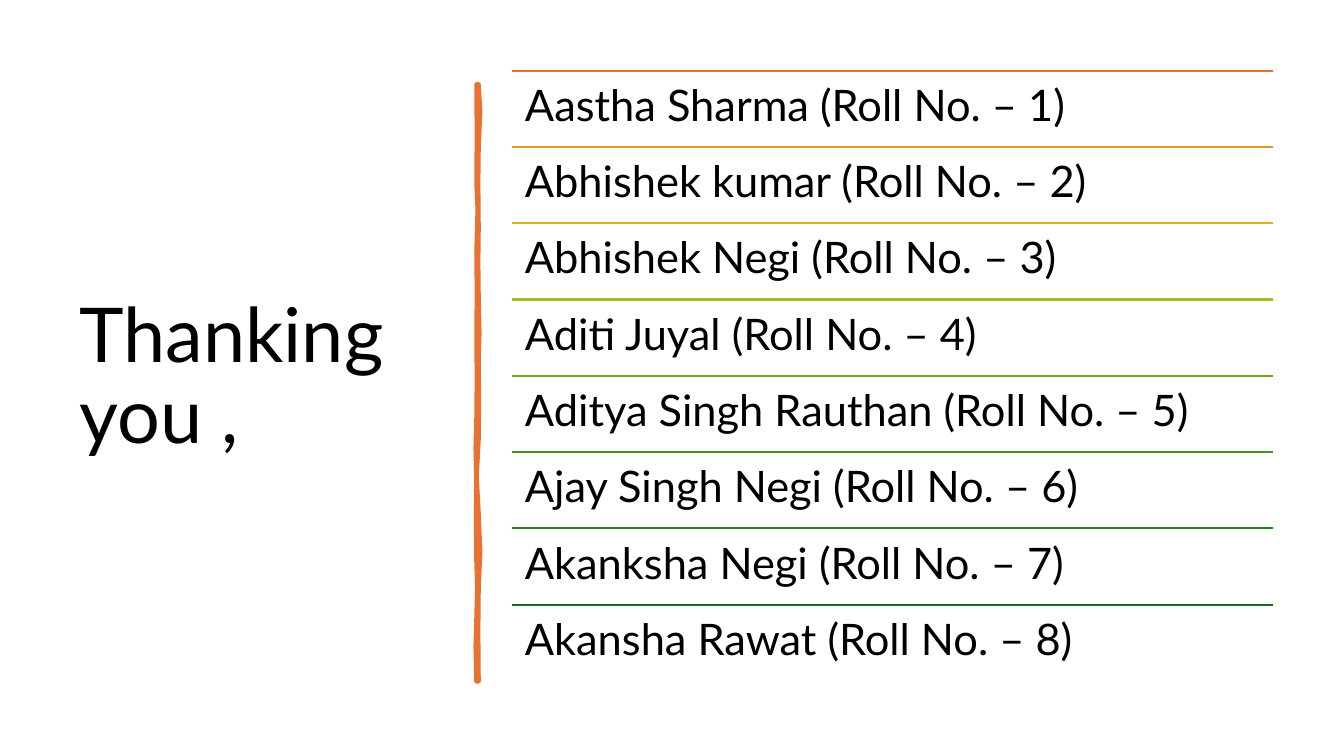
from pptx import Presentation
from pptx.dml.color import RGBColor
from pptx.enum.shapes import MSO_CONNECTOR
from pptx.enum.text import MSO_ANCHOR, PP_ALIGN
from pptx.oxml.ns import qn
from pptx.util import Cm, Pt
from lxml import etree

STRAIGHT = MSO_CONNECTOR.STRAIGHT
MIDDLE, TOP = MSO_ANCHOR.MIDDLE, MSO_ANCHOR.TOP
LEFT = PP_ALIGN.LEFT

# Content: each name with the colour of the rule above it
TITLE = "Thanking you ,"
STUDENTS = [
    ("Aastha Sharma", "E97132"),
    ("Abhishek kumar", "E49622"),
    ("Abhishek Negi", "D2B81E"),
    ("Aditi Juyal", "ABBC1E"),
    ("Aditya Singh Rauthan", "75A71D"),
    ("Ajay Singh Negi", "49931D"),
    ("Akanksha Negi", "277F1B"),
    ("Akansha Rawat", "196B24"),
]

# Brush stroke outline in cm: down the right edge, up the left edge
STROKE_RIGHT = [
    (12.06, 2.13), (12.1, 2.82), (12.06, 3.71), (12.05, 4.6), (12.06, 5.74),
    (12.05, 6.6), (12.06, 7.47), (12.08, 8.4), (12.06, 9.04), (12.07, 10.1),
    (12.06, 11.07), (12.01, 12), (12.06, 12.95), (12.1, 13.9), (12.06, 14.83),
    (12.05, 15.9), (12.06, 17.17),
]
STROKE_LEFT = [
    (12.01, 17.17), (11.99, 16.3), (12.01, 15.57), (12.03, 14.8), (12.01, 14.15),
    (12, 13.1), (12.01, 12.12), (11.99, 11.3), (12.01, 10.54), (12.02, 9.5),
    (12.01, 8.51), (12.02, 7.4), (12.01, 6.35), (12.04, 5.3), (12.01, 4.6),
    (12.02, 3.4), (12.01, 2.13),
]


class Theme:
    font = "Lato"
    text = "000000"
    stroke = "E97132"
    title_size = 54
    row_size = 31
    rule_width = 1.5
    stroke_width = 3.25


def write(shape, text, size, anchor, inset=None):
    frame = shape.text_frame
    frame.word_wrap = True
    frame.vertical_anchor = anchor
    if inset is not None:
        frame.margin_left = frame.margin_right = inset
        frame.margin_top = frame.margin_bottom = inset
    para = frame.paragraphs[0]
    para.alignment = LEFT
    para.line_spacing = 0.9
    span = para.add_run()
    span.text = text
    span.font.name = Theme.font
    span.font.size = Pt(size)
    span.font.color.rgb = RGBColor.from_string(Theme.text)


deck = Presentation()
deck.slide_width, deck.slide_height = Cm(33.87), Cm(19.05)
page = deck.slides.add_slide(deck.slide_layouts[5])

# Title
title = page.shapes.title
title.left, title.top, title.width, title.height = Cm(1.75), Cm(1.78), Cm(9.5), Cm(15.52)
write(title, TITLE, Theme.title_size, MIDDLE)

# Brush stroke divider
outline = [(Cm(x), Cm(y)) for x, y in STROKE_RIGHT + STROKE_LEFT]
builder = page.shapes.build_freeform(*outline[0])
builder.add_line_segments(outline[1:], close=True)
stroke = builder.convert_to_shape()
stroke.shadow.inherit = False
stroke.fill.solid()
stroke.fill.fore_color.rgb = RGBColor.from_string(Theme.stroke)
stroke.line.color.rgb = RGBColor.from_string(Theme.stroke)
stroke.line.width = Pt(Theme.stroke_width)
etree.SubElement(stroke.line._get_or_add_ln(), qn("a:round"))

# Ruled rows, evenly dividing the list height
list_left, list_top, list_width = Cm(12.9), Cm(1.78), Cm(19.18)
row_height = Cm(15.38) // len(STUDENTS)
for index, (name, colour) in enumerate(STUDENTS):
    top = list_top + index * row_height
    rule = page.shapes.add_connector(STRAIGHT, list_left, top, list_left + list_width, top)
    rule.line.color.rgb = RGBColor.from_string(colour)
    rule.line.width = Pt(Theme.rule_width)
    etree.SubElement(rule._element.spPr, qn("a:effectLst"))
    row = page.shapes.add_textbox(list_left, top, list_width, row_height)
    write(row, f"{name} (Roll No. – {index + 1})", Theme.row_size, TOP, inset=Cm(0.33))

deck.save("out.pptx")
